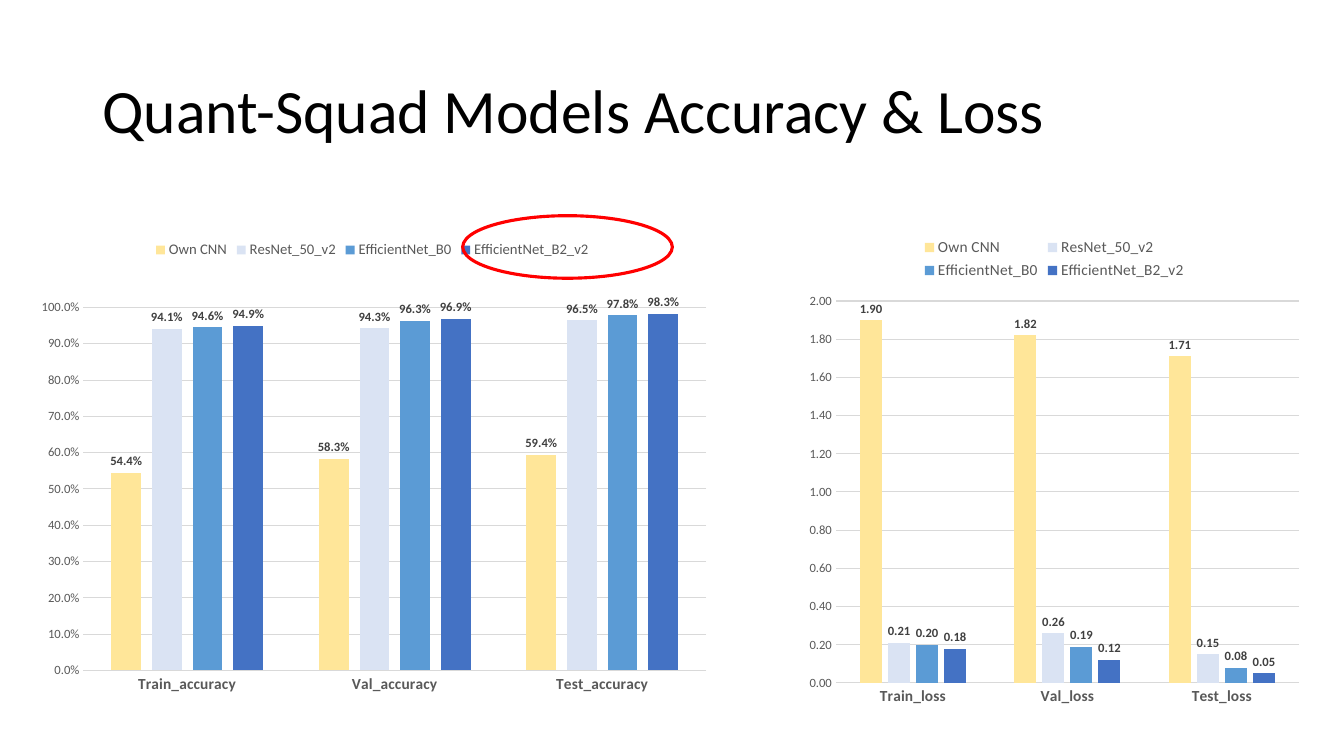
from dataclasses import dataclass

from lxml import etree
from pptx import Presentation
from pptx.chart.data import CategoryChartData
from pptx.dml.color import RGBColor
from pptx.enum.chart import XL_CHART_TYPE as ChartType
from pptx.enum.chart import XL_LABEL_POSITION as LabelPosition
from pptx.enum.chart import XL_LEGEND_POSITION as LegendPosition
from pptx.enum.chart import XL_TICK_MARK as TickMark
from pptx.enum.shapes import MSO_SHAPE as Shape
from pptx.enum.text import MSO_ANCHOR as Anchor
from pptx.enum.text import PP_ALIGN as Align
from pptx.oxml.ns import qn
from pptx.util import Pt


@dataclass(frozen=True)
class Theme:
    font: str = "Calibri"
    black: str = "000000"
    axis_text: str = "595959"
    label_text: str = "404040"
    grid: str = "D9D9D9"
    highlight: str = "FF0000"
    models: tuple = ("FFE699", "DAE3F3", "5B9BD5", "4472C4")
    title_size: float = 44
    chart_size: float = 10
    category_size: float = 11
    value_size: float = 9


theme = Theme()
model_names = ["Own CNN", "ResNet_50_v2", "EfficientNet_B0", "EfficientNet_B2_v2"]
charts = [
    {
        "box": (17.28, 164.16, 497.52, 347.04),
        "metric": "accuracy",
        "format": "0.0%",
        "maximum": 1,
        "unit": 0.1,
        "gap": 188,
        "overlap": -37,
        "legend_size": 10.5,
        "plot": {"x": 0.085, "y": 0.16, "w": 0.894, "h": 0.747},
        "values": [
            (0.544, 0.583, 0.594),
            (0.941, 0.943, 0.965),
            (0.946, 0.963, 0.978),
            (0.949, 0.969, 0.983),
        ],
    },
    {
        "box": (570.96, 162, 364.32, 349.2),
        "metric": "loss",
        "format": "0.00",
        "maximum": 2,
        "unit": 0.2,
        "gap": 219,
        "overlap": -27,
        "legend_size": 11,
        "plot": None,
        "values": [
            (1.90, 1.82, 1.71),
            (0.21, 0.26, 0.15),
            (0.20, 0.19, 0.08),
            (0.18, 0.12, 0.05),
        ],
    },
]


def style_font(font, size, color, bold=False):
    font.name = theme.font
    font.size = Pt(size)
    font.bold = bold
    font.color.rgb = RGBColor.from_string(color)


def style_line(line, color, width):
    line.color.rgb = RGBColor.from_string(color)
    line.width = Pt(width)


presentation = Presentation()
presentation.slide_width = Pt(960)
presentation.slide_height = Pt(540)
slide = presentation.slides.add_slide(presentation.slide_layouts[5])

title = slide.shapes.title
title.left, title.top, title.width, title.height = Pt(66), Pt(28.8), Pt(828), Pt(104.4)
title.text_frame.text = "Quant-Squad Models Accuracy & Loss"
title.text_frame.vertical_anchor = Anchor.MIDDLE
paragraph = title.text_frame.paragraphs[0]
paragraph.alignment = Align.LEFT
paragraph.line_spacing = 0.9
style_font(paragraph.runs[0].font, theme.title_size, theme.black)

for settings in charts:
    data = CategoryChartData(number_format=settings["format"])
    data.categories = [f"{phase}_{settings['metric']}" for phase in ("Train", "Val", "Test")]
    for name, values in zip(model_names, settings["values"]):
        data.add_series(name, values)
    box = [Pt(length) for length in settings["box"]]
    chart = slide.shapes.add_chart(ChartType.COLUMN_CLUSTERED, *box, data).chart
    chart.has_title = False
    style_font(chart.font, theme.chart_size, theme.black)

    chart.has_legend = True
    chart.legend.position = LegendPosition.TOP
    chart.legend.include_in_layout = False
    style_font(chart.legend.font, settings["legend_size"], theme.axis_text)

    category_axis = chart.category_axis
    category_axis.major_tick_mark = TickMark.NONE
    category_axis.minor_tick_mark = TickMark.NONE
    style_line(category_axis.format.line, theme.grid, 0.75)
    style_font(category_axis.tick_labels.font, theme.category_size, theme.axis_text, True)

    value_axis = chart.value_axis
    value_axis.minimum_scale = 0
    value_axis.maximum_scale = settings["maximum"]
    value_axis.major_unit = settings["unit"]
    value_axis.major_tick_mark = TickMark.NONE
    value_axis.minor_tick_mark = TickMark.NONE
    value_axis.format.line.fill.background()
    style_line(value_axis.major_gridlines.format.line, theme.grid, 0.75)
    value_axis.tick_labels.number_format = settings["format"]
    value_axis.tick_labels.number_format_is_linked = False
    style_font(value_axis.tick_labels.font, theme.value_size, theme.axis_text)

    plot = chart.plots[0]
    plot.vary_by_categories = False
    plot.gap_width = settings["gap"]
    plot.overlap = settings["overlap"]
    for series, color in zip(plot.series, theme.models):
        series.format.fill.solid()
        series.format.fill.fore_color.rgb = RGBColor.from_string(color)
        labels = series.data_labels
        labels.show_value = True
        labels.position = LabelPosition.OUTSIDE_END
        labels.number_format = settings["format"]
        labels.number_format_is_linked = False
        style_font(labels.font, theme.value_size, theme.label_text, True)

    if settings["plot"]:
        plot_area = chart.plots[0]._element.getparent()
        for old_layout in plot_area.findall(qn("c:layout")):
            plot_area.remove(old_layout)
        layout = etree.Element(qn("c:layout"))
        plot_area.insert(0, layout)
        manual = etree.SubElement(layout, qn("c:manualLayout"))
        entries = {"layoutTarget": "inner", "xMode": "edge", "yMode": "edge", **settings["plot"]}
        for tag, value in entries.items():
            etree.SubElement(manual, qn(f"c:{tag}")).set("val", str(value))

ellipse = slide.shapes.add_shape(Shape.OVAL, Pt(330.48), Pt(154.08), Pt(149.76), Pt(44.64))
ellipse.shadow.inherit = False
ellipse.fill.background()
style_line(ellipse.line, theme.highlight, 2.25)

presentation.save("out.pptx")
